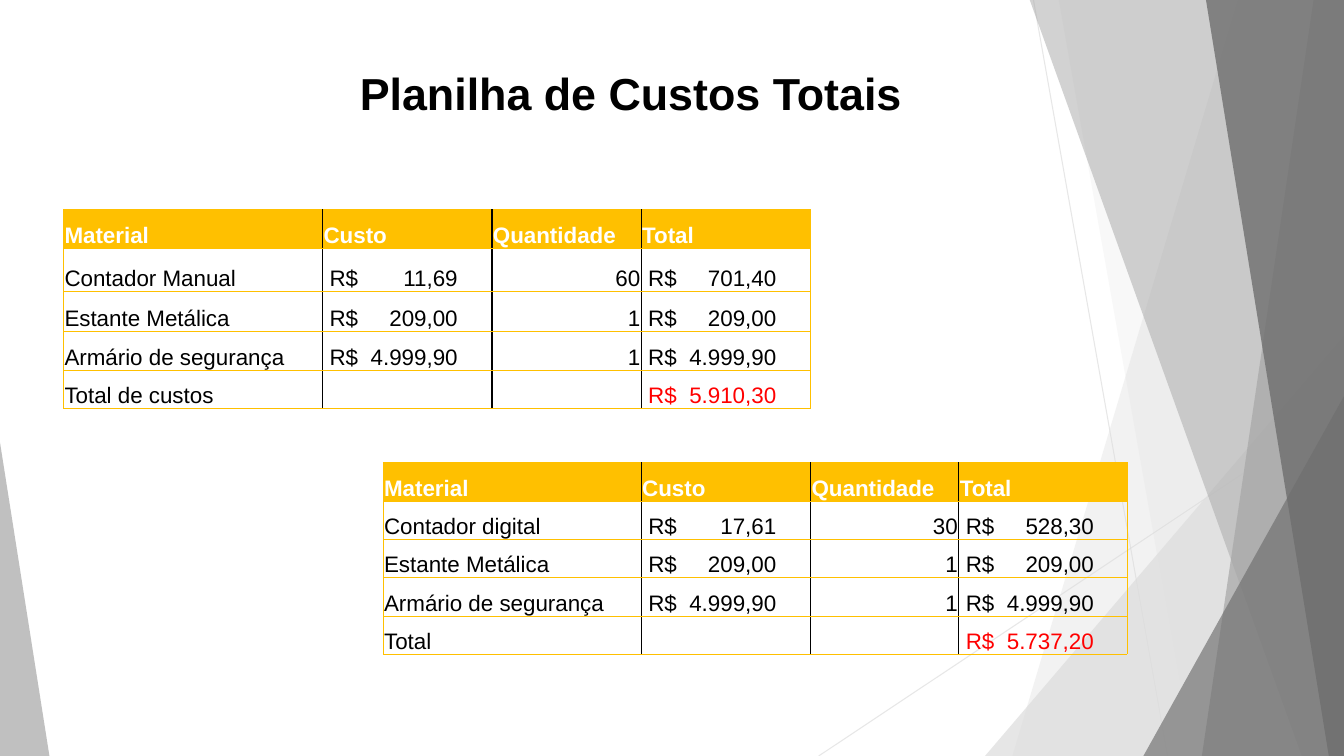
from dataclasses import dataclass

from lxml import etree
from pptx import Presentation
from pptx.dml.color import RGBColor
from pptx.enum.shapes import MSO_CONNECTOR, MSO_SHAPE
from pptx.enum.text import MSO_ANCHOR, PP_ALIGN
from pptx.oxml.ns import qn
from pptx.util import Inches, Pt

STRAIGHT = MSO_CONNECTOR.STRAIGHT
TRIANGLE = MSO_SHAPE.ISOSCELES_TRIANGLE
BOTTOM = MSO_ANCHOR.BOTTOM
LEFT, RIGHT = PP_ALIGN.LEFT, PP_ALIGN.RIGHT

BLACK, WHITE, RED, GOLD = "000000", "FFFFFF", "FF0000", "FFC000"
PALE, GRAY, DARK = "DDDDDD", "A6A6A6", "6E6E6E"
SLIDE_WIDTH, SLIDE_HEIGHT = 13.33, 7.5
CURRENCY = "R$"
CURRENCY_INSET, AMOUNT_TAB = 0.07, 1.27


@dataclass
class Ray:
    start: tuple[float, float]
    end: tuple[float, float]


@dataclass
class Band:
    """A facet reaching the right edge of the slide."""
    top_x: float
    bottom_x: float
    color: str
    opacity: int


@dataclass
class Wedge:
    left: float
    top: float
    width: float
    apex: float
    color: str
    opacity: int


@dataclass
class CostTable:
    left: float
    top: float
    columns: list[float]
    heights: list[float]
    rows: list[tuple[str, str, str, str]]


HEADER = ("Material", "Custo", "Quantidade", "Total")
RAYS = [Ray((10.25, 0), (11.58, 7.5)), Ray((13.33, 4.03), (8.12, 7.5))]
FACETS = [
    Band(12.28, 10.04, PALE, 36),
    Band(10.5, 11.83, PALE, 20),
    Wedge(9.77, 3.33, 3.56, 1, PALE, 72),
    Band(10.21, 12.91, GRAY, 50),
    Band(13.03, 11.92, GRAY, 70),
    Band(11.96, 13.18, DARK, 80),
    Wedge(11.34, 3.93, 1.99, 1, DARK, 66),
    Wedge(0, 4.39, 0.49, 0, GRAY, 70),
]
COST_TABLES = [
    CostTable(0.63, 2.08, [2.57, 1.68, 1.48, 1.68], [0.38, 0.43, 0.4, 0.38, 0.38], [
        HEADER,
        ("Contador Manual", "11,69", "60", "701,40"),
        ("Estante Metálica", "209,00", "1", "209,00"),
        ("Armário de segurança", "4.999,90", "1", "4.999,90"),
        ("Total de custos", "", "", "5.910,30"),
    ]),
    CostTable(3.8, 4.59, [2.56, 1.68, 1.47, 1.67], [0.38] * 5, [
        HEADER,
        ("Contador digital", "17,61", "30", "528,30"),
        ("Estante Metálica", "209,00", "1", "209,00"),
        ("Armário de segurança", "4.999,90", "1", "4.999,90"),
        ("Total", "", "", "5.737,20"),
    ]),
]


def rgb(color: str) -> RGBColor:
    return RGBColor.from_string(color)


def set_opacity(fill_parent, opacity: int) -> None:
    color = next(fill_parent.iter(qn("a:srgbClr")))
    etree.SubElement(color, qn("a:alpha"), val=str(opacity * 1000))


def write_text(frame, text: str, *, size: float, color: str = BLACK,
               bold: bool = False, align=LEFT, tab: float | None = None) -> None:
    paragraph = frame.paragraphs[0]
    paragraph.alignment = align
    if tab is not None:
        properties = paragraph._p.get_or_add_pPr()
        tabs = etree.SubElement(properties, qn("a:tabLst"))
        etree.SubElement(tabs, qn("a:tab"), pos=str(Inches(tab)), algn="r")
    run = paragraph.add_run()
    run.text = text
    run.font.name = "Arial"
    run.font.size = Pt(size)
    run.font.bold = bold
    run.font.color.rgb = rgb(color)


def draw_ray(slide, ray: Ray) -> None:
    points = [Inches(value) for value in (*ray.start, *ray.end)]
    connector = slide.shapes.add_connector(STRAIGHT, *points)
    connector.line.color.rgb = rgb(PALE)
    connector.line.width = Pt(0.75)
    properties = connector._element.spPr
    set_opacity(properties, 70)
    etree.SubElement(properties, qn("a:effectLst"))


def draw_facet(slide, facet: Band | Wedge) -> None:
    if isinstance(facet, Band):
        builder = slide.shapes.build_freeform(Inches(facet.top_x), Inches(-0.01))
        corners = [(SLIDE_WIDTH, -0.01), (SLIDE_WIDTH, SLIDE_HEIGHT),
                   (facet.bottom_x, SLIDE_HEIGHT)]
        builder.add_line_segments([(Inches(x), Inches(y)) for x, y in corners])
        shape = builder.convert_to_shape()
    else:
        shape = slide.shapes.add_shape(
            TRIANGLE, Inches(facet.left), Inches(facet.top),
            Inches(facet.width), Inches(SLIDE_HEIGHT - facet.top))
        shape.adjustments[0] = facet.apex
    shape.shadow.inherit = False
    shape.fill.solid()
    shape.fill.fore_color.rgb = rgb(facet.color)
    set_opacity(shape._element.spPr, facet.opacity)
    shape.line.fill.background()


def draw_border(cell, side: str, color: str, width: float) -> None:
    line = etree.SubElement(cell._tc.get_or_add_tcPr(), qn(f"a:ln{side}"),
                            w=str(Pt(width)))
    fill = etree.SubElement(line, qn("a:solidFill"))
    etree.SubElement(fill, qn("a:srgbClr"), val=color)


def format_cell(cell, is_header: bool, is_first: bool, is_last: bool) -> None:
    cell.vertical_anchor = BOTTOM
    cell.margin_left = cell.margin_right = cell.margin_top = Inches(0.01)
    cell.margin_bottom = 0
    gold_edge, black_edge = (GOLD, 0.5), (BLACK, 1)
    draw_border(cell, "L", *(gold_edge if is_first else black_edge))
    draw_border(cell, "R", *(gold_edge if is_last else black_edge))
    draw_border(cell, "T", *gold_edge)
    draw_border(cell, "B", *gold_edge)
    if is_header:
        cell.fill.solid()
        cell.fill.fore_color.rgb = rgb(GOLD)
    else:
        cell.fill.background()


def draw_cost_table(slide, costs: CostTable) -> None:
    frame = slide.shapes.add_table(
        len(costs.rows), len(costs.columns), Inches(costs.left), Inches(costs.top),
        Inches(sum(costs.columns)), Inches(sum(costs.heights)))
    table = frame.table
    table.first_row = table.horz_banding = False
    for column, width in zip(table.columns, costs.columns):
        column.width = Inches(width)
    for row, height in zip(table.rows, costs.heights):
        row.height = Inches(height)

    last_row, last_column = len(costs.rows) - 1, len(costs.columns) - 1
    for row_index, values in enumerate(costs.rows):
        for column_index, value in enumerate(values):
            cell = table.cell(row_index, column_index)
            is_header = row_index == 0
            format_cell(cell, is_header, column_index == 0, column_index == last_column)
            if not value:
                continue
            heading = HEADER[column_index]
            if is_header:
                write_text(cell.text_frame, value, size=16, color=WHITE, bold=True)
            elif heading in ("Custo", "Total"):
                cell.margin_left = Inches(CURRENCY_INSET)
                write_text(cell.text_frame, f"{CURRENCY}\t{value}", size=16,
                           color=RED if row_index == last_row else BLACK, tab=AMOUNT_TAB)
            else:
                write_text(cell.text_frame, value, size=16,
                           align=RIGHT if heading == "Quantidade" else LEFT)


def main() -> None:
    presentation = Presentation()
    presentation.slide_width = Inches(SLIDE_WIDTH)
    presentation.slide_height = Inches(SLIDE_HEIGHT)
    slide = presentation.slides.add_slide(presentation.slide_layouts[6])
    for ray in RAYS:
        draw_ray(slide, ray)
    for facet in FACETS:
        draw_facet(slide, facet)
    title = slide.shapes.add_textbox(Inches(3.47), Inches(0.6), Inches(6.39), Inches(0.64))
    title.text_frame.word_wrap = True
    write_text(title.text_frame, "Planilha de Custos Totais", size=32, bold=True)
    for costs in COST_TABLES:
        draw_cost_table(slide, costs)
    presentation.save("out.pptx")


if __name__ == "__main__":
    main()
